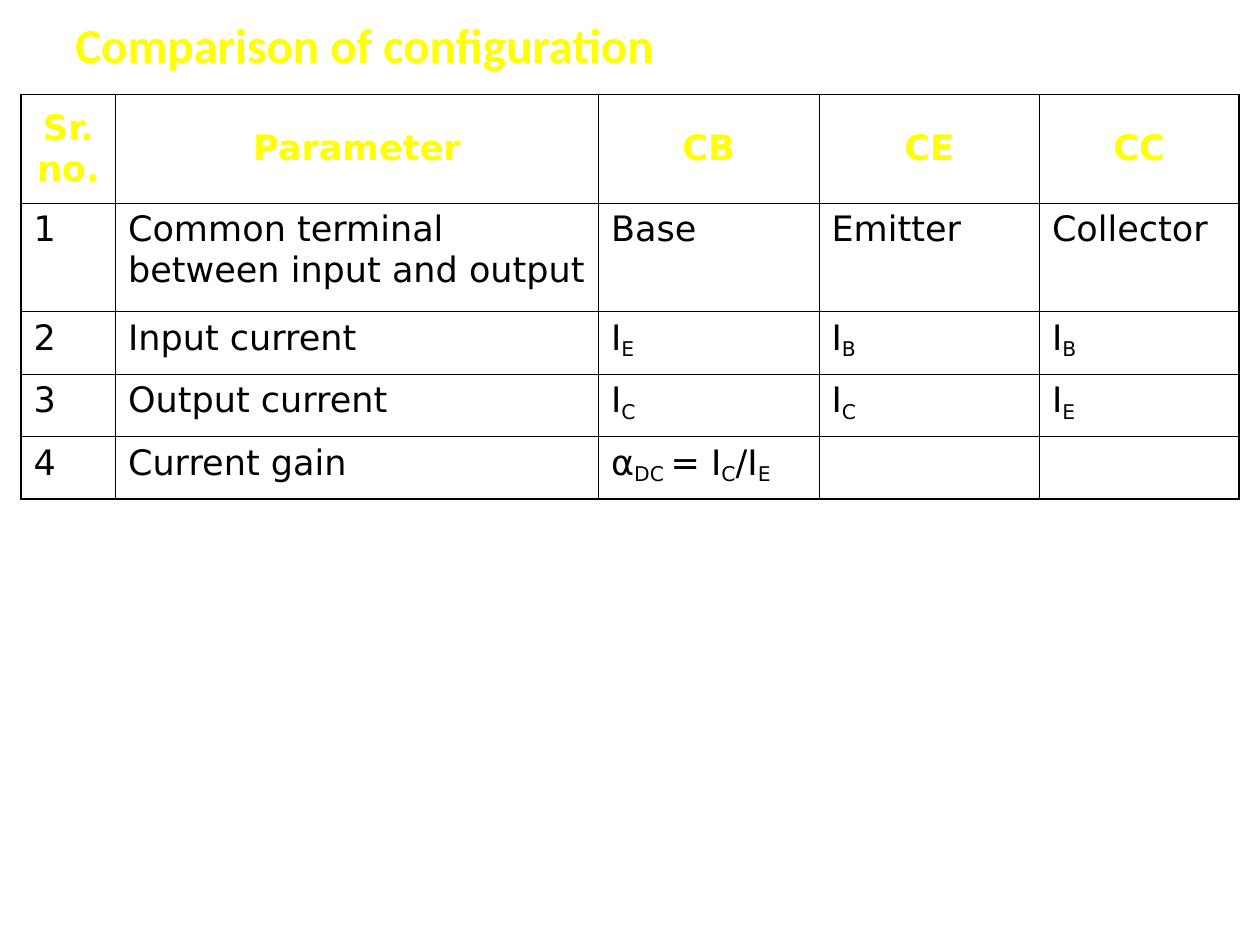
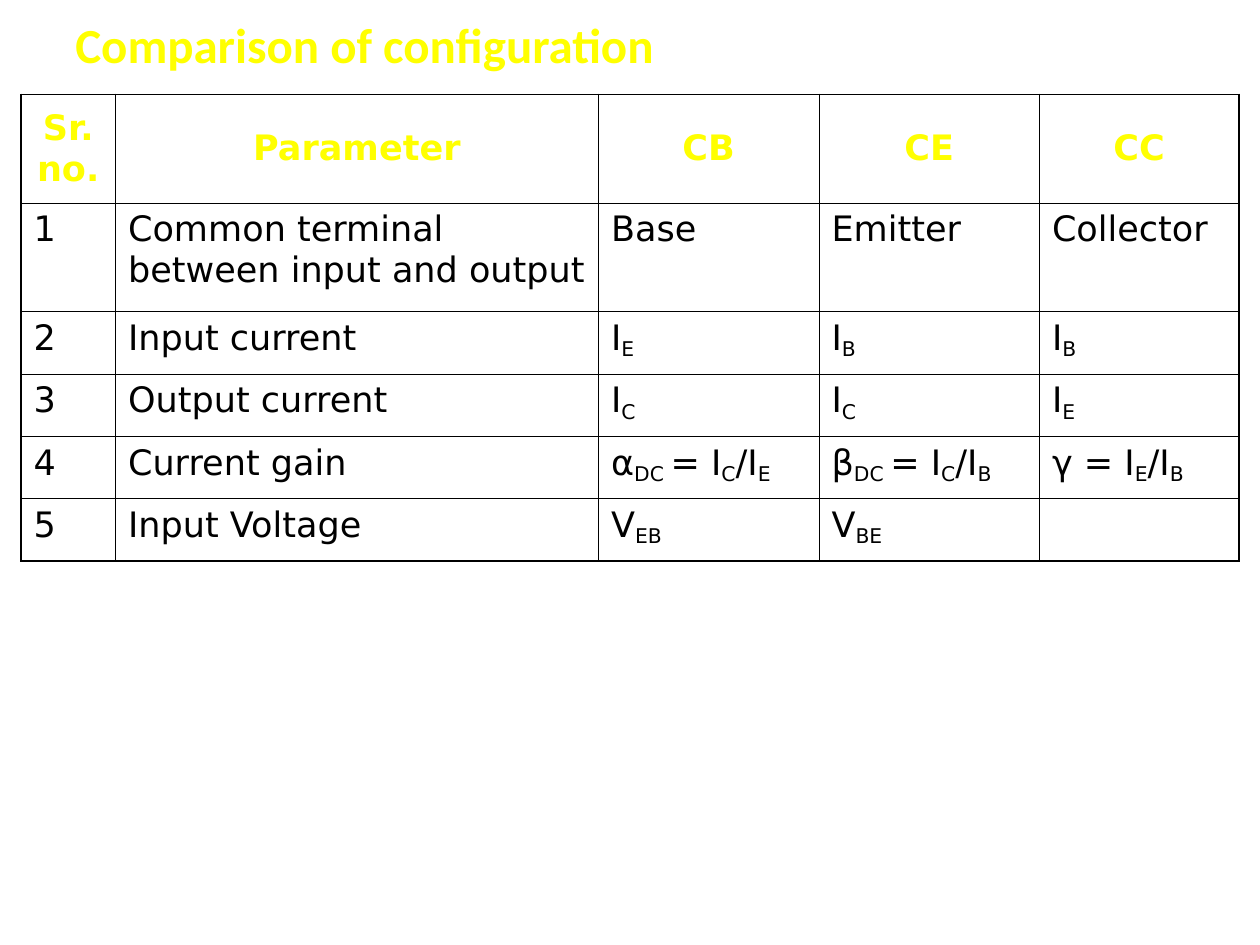
"""Build two slides comparing the CB, CE and CC transistor configurations."""
from lxml import etree
from pptx import Presentation
from pptx.dml.color import RGBColor
from pptx.enum import text
from pptx.oxml import ns
from pptx.util import Pt

COLORS = {"heading": "FFFF00", "body": "000000", "border": "000000", "background": "FFFFFF"}
FONTS = {"title": "Calibri", "table": "DejaVu Sans"}
TITLE = "Comparison of configuration"
COL_WIDTHS = [54, 276, 126, 126, 114]
TALL_ROW, SHORT_ROW = 62, 35.7
OUTER_LINE, INNER_LINE = 1.08, 0.45

HEADER = ["Sr.no.", "Parameter", "CB", "CE", "CC"]
COMMON_ROWS = [
    ["Common terminal between input and output", "Base", "Emitter", "Collector"],
    ["Input current", "I|E", "I|B", "I|B"],
    ["Output current", "I|C", "I|C", "I|E"],
]
ALPHA_GAIN = "α|DC |= I|C|/I|E"
SLIDES = [
    COMMON_ROWS + [["Current gain", ALPHA_GAIN, "", ""]],
    COMMON_ROWS + [
        ["Current gain", ALPHA_GAIN, "β|DC |= I|C|/I|B", "γ = I|E|/I|B"],
        ["Input Voltage", "V|EB", "V|BE", ""],
    ],
]


def set_font(p, name, size, color, bold):
    """Set the font of a whole paragraph."""
    p.font.name = name
    p.font.size = Pt(size)
    p.font.bold = bold
    p.font.color.rgb = RGBColor.from_string(COLORS[color])


def add_title(s):
    """Add the slide title."""
    sp = s.shapes.add_textbox(Pt(36), Pt(6), Pt(648), Pt(38))
    tf = sp.text_frame
    tf.word_wrap = True
    tf.vertical_anchor = text.MSO_ANCHOR.MIDDLE
    p = tf.paragraphs[0]
    p.text = TITLE
    set_font(p, FONTS["title"], 28, "heading", True)


def add_runs(p, marked):
    """Add runs split at bars, every second one a subscript."""
    for i, part in enumerate(marked.split("|")):
        r = p.add_run()
        r.text = part
        if i % 2:
            r.font._element.set("baseline", "-18000")


def set_borders(cell, widths):
    """Draw the cell's sides, given their widths by letter."""
    tc_pr = cell._tc.get_or_add_tcPr()
    for side, width in widths.items():
        ln = etree.SubElement(tc_pr, ns.qn(f"a:ln{side}"), w=str(int(Pt(width))))
        fill = etree.SubElement(ln, ns.qn("a:solidFill"))
        etree.SubElement(fill, ns.qn("a:srgbClr"), val=COLORS["border"])


def fill_cell(cell, marked, is_header):
    """Write and style the text of one cell."""
    p = cell.text_frame.paragraphs[0]
    if is_header:
        cell.vertical_anchor = text.MSO_ANCHOR.MIDDLE
        p.alignment = text.PP_ALIGN.CENTER
    p.space_before = Pt(5)
    set_font(p, FONTS["table"], 20, "heading" if is_header else "body", is_header)
    if marked:
        add_runs(p, marked)


def add_comparison(s, body):
    """Add the comparison table with numbered body rows."""
    rows = [HEADER] + [[str(n), *row] for n, row in enumerate(body, 1)]
    heights = [TALL_ROW] * 2 + [SHORT_ROW] * (len(rows) - 2)
    last_row, last_col = len(rows) - 1, len(HEADER) - 1
    table = s.shapes.add_table(len(rows), len(HEADER), Pt(12), Pt(54),
                               Pt(sum(COL_WIDTHS)), Pt(sum(heights))).table
    table.first_row = table.horz_banding = False
    for col, width in zip(table.columns, COL_WIDTHS):
        col.width = Pt(width)
    for i, row in enumerate(rows):
        table.rows[i].height = Pt(heights[i])
        for j, marked in enumerate(row):
            cell = table.cell(i, j)
            on_edge = {"L": j == 0, "R": j == last_col, "T": i == 0, "B": i == last_row}
            set_borders(cell, {side: OUTER_LINE if edge else INNER_LINE
                               for side, edge in on_edge.items()})
            cell.fill.background()
            fill_cell(cell, marked, i == 0)


def main():
    """Build and save the presentation."""
    prs = Presentation()
    prs.slide_width, prs.slide_height = Pt(720), Pt(540)
    for body in SLIDES:
        s = prs.slides.add_slide(prs.slide_layouts[6])
        s.background.fill.solid()
        s.background.fill.fore_color.rgb = RGBColor.from_string(COLORS["background"])
        add_title(s)
        add_comparison(s, body)
    prs.save("out.pptx")


if __name__ == "__main__":
    main()
